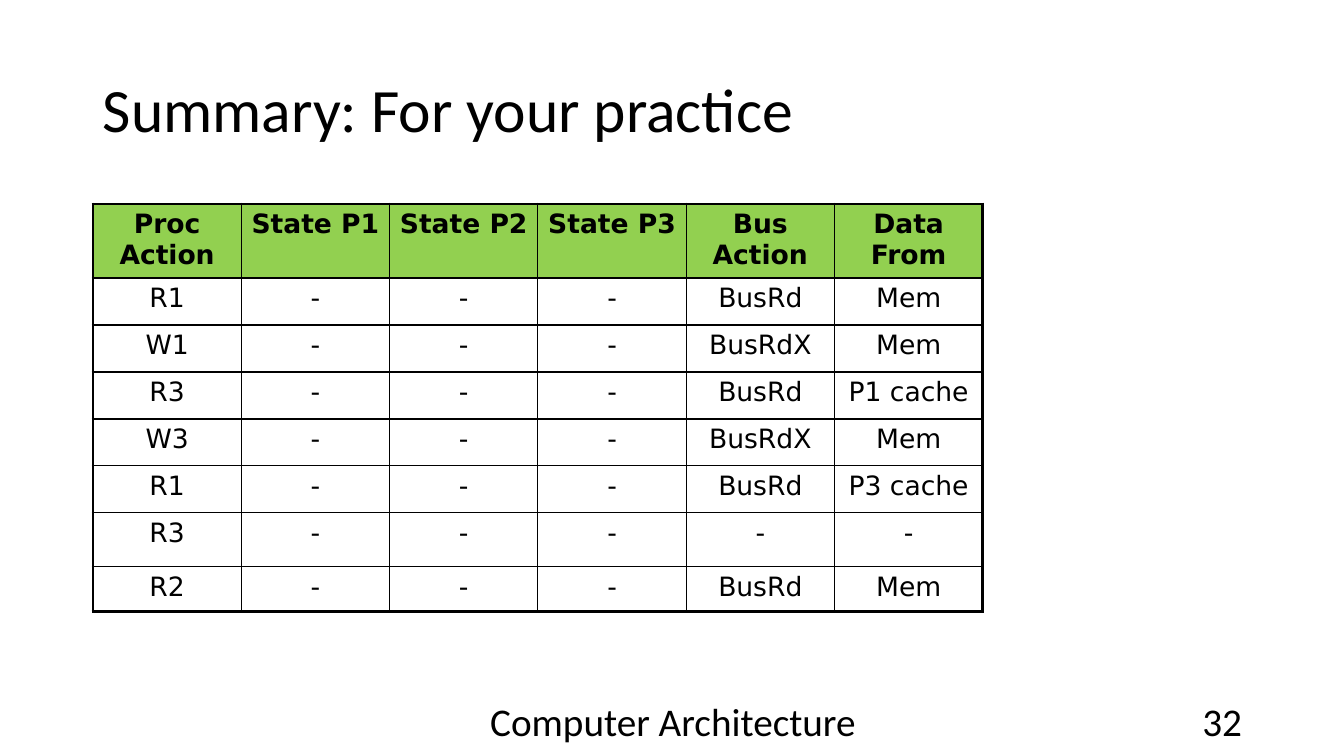
from lxml import etree
from pptx import Presentation
from pptx.dml.color import RGBColor
from pptx.enum.text import MSO_ANCHOR, PP_ALIGN
from pptx.oxml.ns import qn
from pptx.util import Pt

LEFT, CENTER, RIGHT = PP_ALIGN.LEFT, PP_ALIGN.CENTER, PP_ALIGN.RIGHT
MIDDLE, TOP = MSO_ANCHOR.MIDDLE, MSO_ANCHOR.TOP
WIDTH, HEIGHT = 1344, 756
SCALE = 12192000 / WIDTH
COLORS = {"ink": "000000", "head": "92D050"}
TITLE = {"name": "Calibri", "size": Pt(44), "bold": False}
FOOT = {"name": "Calibri", "size": Pt(28), "bold": False}
HEAD = {"name": "DejaVu Sans", "size": Pt(19), "bold": True}
BODY = {**HEAD, "bold": False}
THIN, THICK = Pt(1), Pt(2.25)

HEADS = ["Proc Action", "State P1", "State P2", "State P3", "Bus Action", "Data From"]
STEPS = [
    ("R1", "BusRd", "Mem"),
    ("W1", "BusRdX", "Mem"),
    ("R3", "BusRd", "P1 cache"),
    ("W3", "BusRdX", "Mem"),
    ("R1", "BusRd", "P3 cache"),
    ("R3", "-", "-"),
    ("R2", "BusRd", "Mem"),
]
ROWS = [HEADS] + [[proc, "-", "-", "-", bus, data] for proc, bus, data in STEPS]
TALL = [74, 47, 47, 47, 47, 47, 54, 45]


def px(n):
    return round(n * SCALE)


def write(frame, text, form, align, space=1.0):
    frame.word_wrap = True
    para = frame.paragraphs[0]
    para.alignment = align
    para.line_spacing = space
    run = para.add_run()
    run.text = text
    for key, value in form.items():
        setattr(run.font, key, value)
    run.font.color.rgb = RGBColor.from_string(COLORS["ink"])


def label(slide, box, text, form, align, space=1.0):
    frame = slide.shapes.add_textbox(*map(px, box)).text_frame
    frame.vertical_anchor = MIDDLE
    write(frame, text, form, align, space)


def border(cell, sides):
    props = cell._tc.get_or_add_tcPr()
    for i, (side, width) in enumerate(sides.items()):
        line = etree.Element(qn(f"a:ln{side}"), w=str(width))
        fill = etree.SubElement(line, qn("a:solidFill"))
        etree.SubElement(fill, qn("a:srgbClr"), val=COLORS["ink"])
        props.insert(i, line)


def grid(slide, box):
    rows, cols = len(ROWS), len(HEADS)
    table = slide.shapes.add_table(rows, cols, *map(px, box)).table
    table.horz_banding = False
    for col in table.columns:
        col.width = px(box[2] / cols)
    for r, (texts, tall) in enumerate(zip(ROWS, TALL)):
        table.rows[r].height = px(tall)
        for c, text in enumerate(texts):
            cell = table.cell(r, c)
            cell.vertical_anchor = TOP
            write(cell.text_frame, text, BODY if r else HEAD, CENTER)
            if r:
                cell.fill.background()
            else:
                cell.fill.solid()
                cell.fill.fore_color.rgb = RGBColor.from_string(COLORS["head"])
            edges = {"L": c == 0, "R": c == cols - 1, "T": r == 0, "B": r == rows - 1}
            border(cell, {side: THICK if outer else THIN for side, outer in edges.items()})


def footer(slide, box):
    left, top, width, height = box
    label(slide, (left + 353, top, 454, height), "Computer Architecture", FOOT, CENTER)
    label(slide, (left + width - 302, top, 302, height), "32", FOOT, RIGHT)


def main():
    deck = Presentation()
    deck.slide_width, deck.slide_height = px(WIDTH), px(HEIGHT)
    slide = deck.slides.add_slide(deck.slide_layouts[6])
    label(slide, (93, 40, 1159, 146), "Summary: For your practice", TITLE, LEFT, 0.9)
    grid(slide, (93, 204, 890, sum(TALL)))
    footer(slide, (93, 701, 1159, 40))
    deck.save("out.pptx")


if __name__ == "__main__":
    main()
